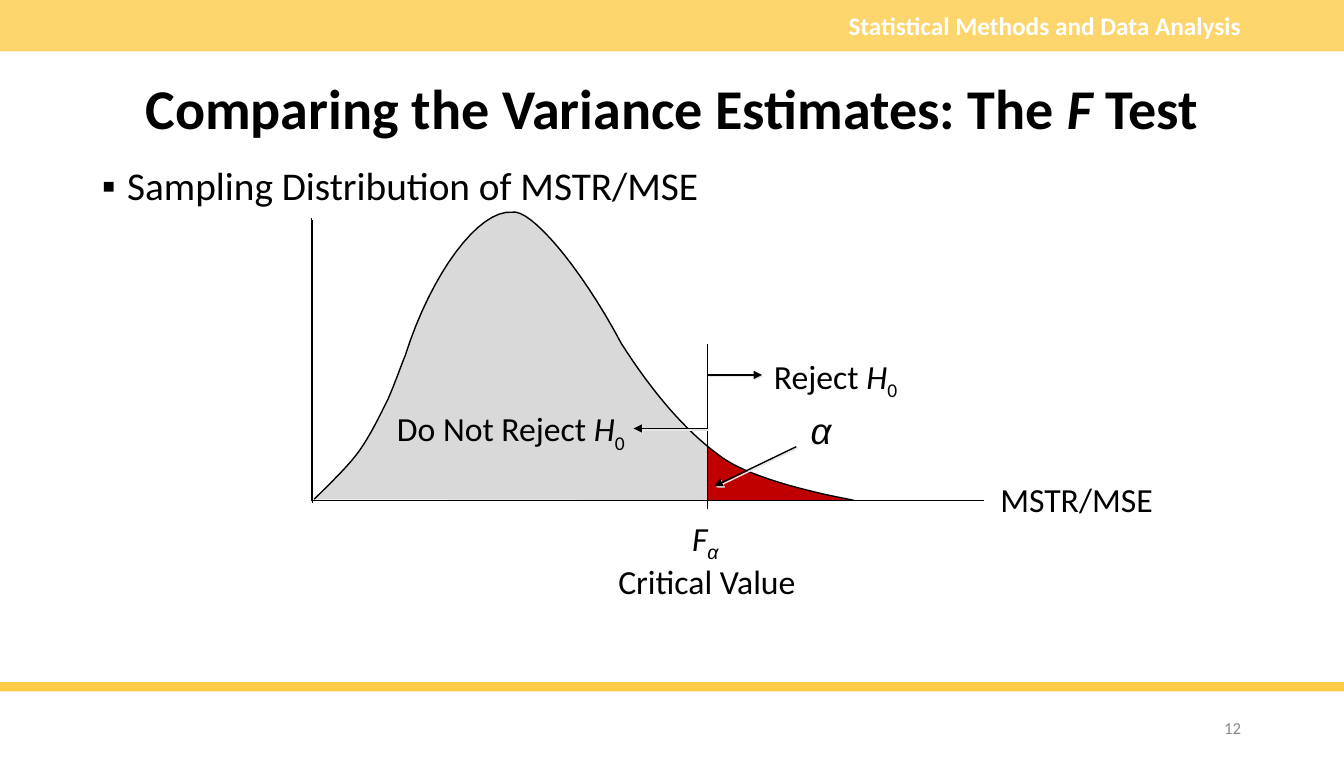
from dataclasses import dataclass

from lxml import etree
from pptx import Presentation
from pptx.dml.color import RGBColor
from pptx.enum.shapes import MSO_CONNECTOR, MSO_SHAPE
from pptx.enum.text import MSO_ANCHOR, PP_ALIGN
from pptx.oxml.ns import qn
from pptx.util import Emu, Pt

RECTANGLE = MSO_SHAPE.RECTANGLE
STRAIGHT = MSO_CONNECTOR.STRAIGHT
LEFT, CENTER, RIGHT = PP_ALIGN.LEFT, PP_ALIGN.CENTER, PP_ALIGN.RIGHT
TOP, MIDDLE = MSO_ANCHOR.TOP, MSO_ANCHOR.MIDDLE

EMU_PER_PX = 9144  # 100 px to the inch
SLIDE_WIDTH, SLIDE_HEIGHT = 1330, 750
BASELINE, CRITICAL_X, AXIS_X = 495, 700, 308
CURVE_STEPS = 16


@dataclass(frozen=True)
class Theme:
    gold: str = "FCCA44"
    ink: str = "000000"
    white: str = "FFFFFF"
    accept: str = "D9D9D9"
    reject: str = "C00000"
    soft_shadow: str = "E7E6E6"
    muted: str = "8C8C8C"
    font: str = "Calibri"
    greek_font: str = "Arial"
    title: int = 40
    body: int = 28
    alpha: int = 26
    label: int = 24
    header: int = 18
    number: int = 12
    line: int = 1


THEME = Theme()

# Density curve: start, then two control points and an end per segment
CURVE_START = (311, 494)
CURVE_SEGMENTS = [
    ((327, 478), (343, 463), (355, 447)),
    ((367, 430), (376, 411), (384, 395)),
    ((391, 379), (398, 359), (401, 352)),
    ((427, 270), (474, 207), (507, 210)),
    ((524, 206), (573, 261), (615, 340)),
    ((645, 387), (677, 425), (711, 450)),
    ((732, 467), (781, 483), (845, 495)),
]


def px(length):
    return Emu(round(length * EMU_PER_PX))


def color(value):
    return RGBColor.from_string(value)


def add_child(parent, tag, **attributes):
    child = etree.SubElement(parent, qn(tag))
    for name, value in attributes.items():
        child.set(name, str(value))
    return child


def add_bar(slide, top, height, opacity=100):
    shape = slide.shapes.add_shape(RECTANGLE, 0, px(top), px(SLIDE_WIDTH), px(height))
    shape.shadow.inherit = False
    shape.fill.solid()
    shape.fill.fore_color.rgb = color(THEME.gold)
    shape.line.fill.background()
    if opacity < 100:
        fill_color = shape.element.spPr.find(qn("a:solidFill"))[0]
        add_child(fill_color, "a:alpha", val=opacity * 1000)


def add_text(slide, box, runs, size, ink=THEME.ink, align=LEFT, anchor=TOP,
             wrap=True, spacing=None):
    """Runs are (text, style, font) with style letters b, i and s (subscript)."""
    frame = slide.shapes.add_textbox(*map(px, box)).text_frame
    frame.word_wrap = wrap
    frame.vertical_anchor = anchor
    paragraph = frame.paragraphs[0]
    paragraph.alignment = align
    if spacing:
        paragraph.line_spacing = spacing
    for text, style, font in runs:
        run = paragraph.add_run()
        run.text = text
        run.font.name = font
        run.font.size = Pt(size)
        run.font.bold = "b" in style
        run.font.italic = "i" in style
        run.font.color.rgb = color(ink)
        if "s" in style:
            run.font._element.set("baseline", "-25000")
    return paragraph


def add_bullet(paragraph):
    paragraph.space_before = Pt(10)
    properties = paragraph._p.get_or_add_pPr()
    properties.set("marL", str(px(25)))
    properties.set("indent", str(px(-25)))
    add_child(properties, "a:buFont", typeface=THEME.greek_font)
    add_child(properties, "a:buChar", char="▪")


def add_line(slide, start, end, shadow=None, arrow=False):
    connector = slide.shapes.add_connector(STRAIGHT, *map(px, start + end))
    connector.line.color.rgb = color(THEME.ink)
    connector.line.width = Pt(THEME.line)
    properties = connector.element.spPr
    if arrow:
        add_child(properties.find(qn("a:ln")), "a:tailEnd", type="triangle")
    effects = add_child(properties, "a:effectLst")
    if shadow:
        outer = add_child(effects, "a:outerShdw", dist=Pt(1.4), dir=2700000,
                          algn="ctr", rotWithShape=0)
        add_child(outer, "a:srgbClr", val=shadow)


def add_freeform(slide, points, fill=None):
    """Filled points make a closed area; without a fill, an open outline."""
    corners = [(px(x), px(y)) for x, y in points]
    builder = slide.shapes.build_freeform(*corners[0], scale=1.0)
    builder.add_line_segments(corners[1:], close=fill is not None)
    shape = builder.convert_to_shape()
    shape.shadow.inherit = False
    if fill:
        shape.fill.solid()
        shape.fill.fore_color.rgb = color(fill)
        shape.line.fill.background()
    else:
        shape.fill.background()
        shape.line.color.rgb = color(THEME.ink)
        shape.line.width = Pt(THEME.line)


def density_points():
    points = [CURVE_START]
    for first, second, end in CURVE_SEGMENTS:
        start = points[-1]
        for step in range(1, CURVE_STEPS + 1):
            t = step / CURVE_STEPS
            u = 1 - t
            points.append(tuple(
                u**3 * a + 3 * u * u * t * b + 3 * u * t * t * c + t**3 * d
                for a, b, c, d in zip(start, first, second, end)))
    return points


def add_frame(slide):
    add_bar(slide, 0, 51, opacity=78)
    add_bar(slide, 675, 9)
    add_text(slide, (644, 5, 594, 40),
             [("Statistical Methods and Data Analysis", "b", THEME.font)],
             THEME.header, THEME.white, RIGHT)
    add_text(slide, (1170, 705, 68, 30), [("12", "", THEME.font)],
             THEME.number, THEME.muted, RIGHT, MIDDLE)


def add_distribution(slide):
    curve = density_points()
    tail = [point for point in curve if point[0] > CRITICAL_X]
    add_line(slide, (AXIS_X, 496), (AXIS_X, 216), THEME.ink)
    add_freeform(slide, curve, THEME.accept)
    add_freeform(slide, [(CRITICAL_X, BASELINE), (CRITICAL_X, 442)] + tail, THEME.reject)
    add_freeform(slide, curve)
    add_line(slide, (AXIS_X, BASELINE), (974, BASELINE))
    add_line(slide, (CRITICAL_X, 504), (CRITICAL_X, 340))
    for start, end in [((CRITICAL_X, 371), (754, 371)),
                       ((CRITICAL_X, 424), (627, 424)),
                       ((788, 442), (707, 481))]:
        add_line(slide, start, end, THEME.soft_shadow, arrow=True)


def add_labels(slide):
    font, greek = THEME.font, THEME.greek_font
    hypothesis = [("H", "i", font), ("0", "s", font)]
    for box, runs in [
        ((383, 399, 249, 50), [("Do Not Reject ", "", font)] + hypothesis),
        ((756, 347, 145, 50), [("Reject ", "", font)] + hypothesis),
        ((980, 469, 172, 50), [("MSTR/MSE", "", font)]),
        ((602, 550, 197, 50), [("Critical Value", "", font)]),
        ((675, 507, 50, 50), [("F", "i", font), ("α", "is", greek)]),
    ]:
        add_text(slide, box, runs, THEME.label, wrap=False)
    add_text(slide, (791, 399, 43, 54), [("α", "i", greek)], THEME.alpha,
             align=CENTER, wrap=False)


def main():
    presentation = Presentation()
    presentation.slide_width, presentation.slide_height = px(SLIDE_WIDTH), px(SLIDE_HEIGHT)
    slide = presentation.slides.add_slide(presentation.slide_layouts[6])

    # Bands, header and slide number
    add_frame(slide)

    # Title and bullet
    title = [("Comparing the Variance Estimates: The ", "b", THEME.font),
             ("F", "bi", THEME.font), (" Test", "b", THEME.font)]
    add_text(slide, (91, 70, 1147, 80), title, THEME.title,
             align=CENTER, anchor=MIDDLE, spacing=0.9)
    add_bullet(add_text(slide, (91, 160, 1147, 500),
                        [("Sampling Distribution of MSTR/MSE", "", THEME.font)],
                        THEME.body, spacing=0.9))

    # Diagram
    add_distribution(slide)
    add_labels(slide)
    presentation.save("out.pptx")


if __name__ == "__main__":
    main()
